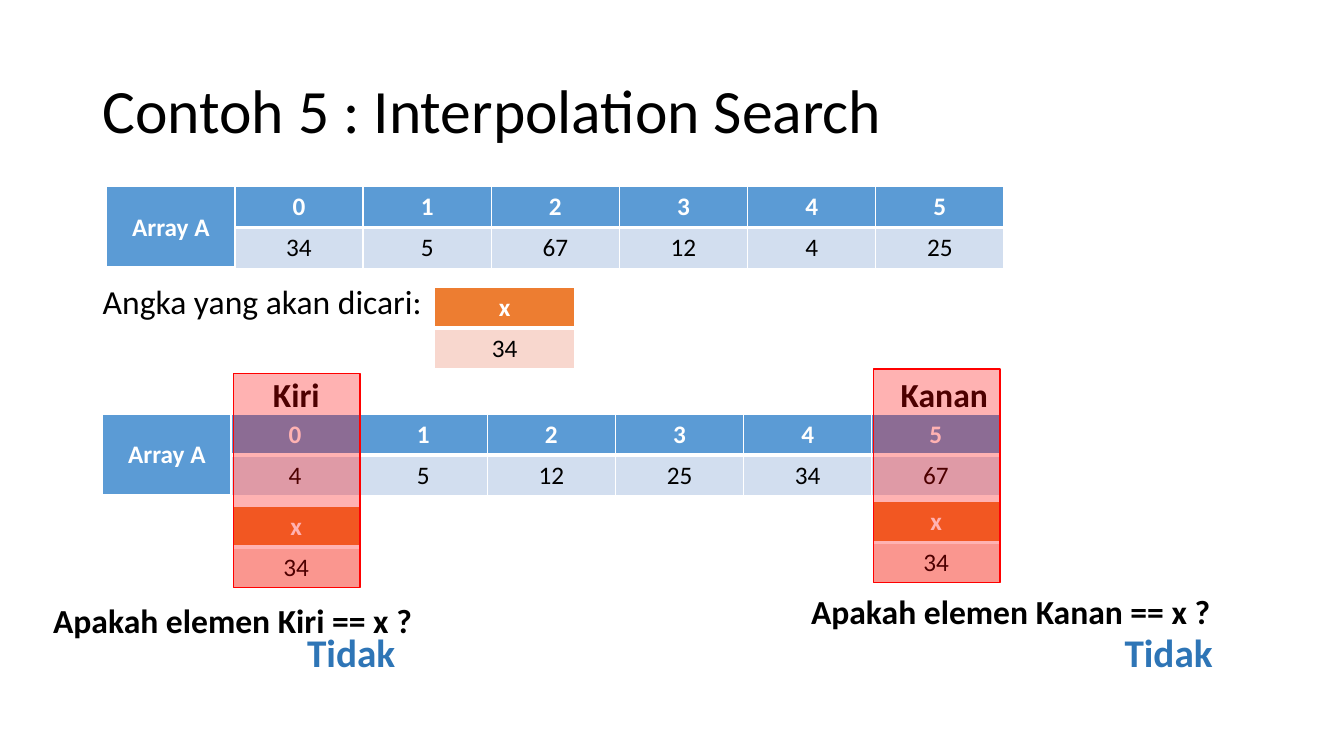
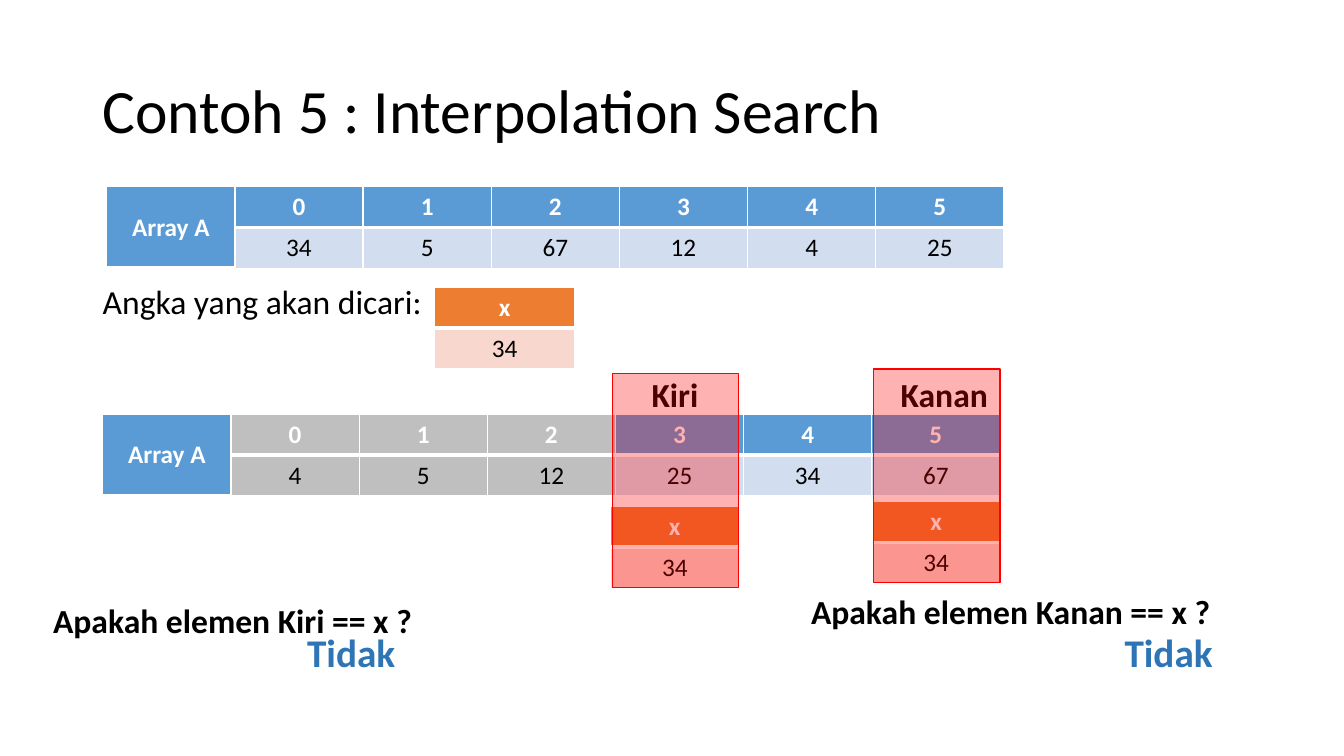
from dataclasses import dataclass
from lxml.etree import SubElement
from pptx import Presentation
from pptx.dml.color import RGBColor as RGB
from pptx.enum.shapes import MSO_SHAPE as Shape
from pptx.enum.text import MSO_ANCHOR as Anchor, MSO_AUTO_SIZE as Fit, PP_ALIGN as Align
from pptx.oxml.ns import qn
from pptx.util import Cm, Pt


@dataclass(frozen=True)
class Theme:
    font: str = "Calibri"
    title: int = 44
    answer: int = 28
    label: int = 24
    cell: int = 18
    black: str = "000000"
    white: str = "FFFFFF"
    blue: str = "5B9BD5"
    light_blue: str = "D2DEEF"
    orange: str = "ED7D31"
    light_orange: str = "F8D7CE"
    grey: str = "BFBFBF"
    red: str = "FF0000"
    answer_blue: str = "2E75B6"
    marker_alpha: int = 30


def apply(obj, values):
    for name, value in values.items():
        setattr(obj, name, value)


class Deck:
    ROW = 1.03
    COLUMN = 3.23
    MARKER = 3.18

    def __init__(self, theme):
        self.theme = theme
        self.prs = Presentation()
        apply(self.prs, {"slide_width": Cm(33.87), "slide_height": Cm(19.05)})
        self.s = None

    def add_slide(self, title):
        self.s = self.prs.slides.add_slide(self.prs.slide_layouts[6])
        tf = self.s.shapes.add_textbox(Cm(2.33), Cm(1.02), Cm(29.21), Cm(3.68)).text_frame
        apply(tf, {"word_wrap": True, "vertical_anchor": Anchor.MIDDLE})
        tf.paragraphs[0].line_spacing = 0.9
        self.run(tf, title, self.theme.title)

    def run(self, tf, text, size, color=None, bold=False):
        r = tf.paragraphs[0].add_run()
        r.text = text
        apply(r.font, {"name": self.theme.font, "size": Pt(size), "bold": bold})
        r.font.color.rgb = RGB.from_string(color or self.theme.black)

    def text(self, x, y, w, text, size=None, color=None, bold=True, h=1.27):
        tf = self.s.shapes.add_textbox(Cm(x), Cm(y), Cm(w), Cm(h)).text_frame
        apply(tf, {"word_wrap": False, "auto_size": Fit.SHAPE_TO_FIT_TEXT})
        self.run(tf, text, size or self.theme.label, color, bold)

    def answer(self, x, text):
        self.text(x, 15.72, 2.77, text, self.theme.answer, self.theme.answer_blue, h=1.45)

    def cell(self, cell, text, fill, header):
        t = self.theme
        tc_pr = cell._tc.get_or_add_tcPr()
        divider = "B" if header else "T"
        for side in "LRTB":
            ln = SubElement(tc_pr, qn(f"a:ln{side}"), w=str(Pt(3 if side == divider else 1)))
            SubElement(SubElement(ln, qn("a:solidFill")), qn("a:srgbClr"), val=t.white)
        cell.fill.solid()
        cell.fill.fore_color.rgb = RGB.from_string(fill)
        cell.vertical_anchor = Anchor.MIDDLE
        cell.text_frame.paragraphs[0].alignment = Align.CENTER
        if text:
            self.run(cell.text_frame, text, t.cell, t.white if header else t.black, header)

    def table(self, x, y, columns, rows):
        frame = self.s.shapes.add_table(2, columns, Cm(x), Cm(y), Cm(self.COLUMN * columns), Cm(2 * self.ROW))
        table = frame.table
        apply(table, {"first_row": False, "horz_banding": False})
        for row, values in zip(table.rows, rows):
            row.height = Cm(self.ROW)
            for cell, value in zip(row.cells, values):
                self.cell(cell, *value)
        return table

    def array(self, x, y, values, discarded=0):
        t = self.theme
        header, body = [("Array A", t.blue, True)], [("", t.blue, True)]
        for i, value in enumerate(values):
            out = i < discarded
            header.append((str(i), t.grey if out else t.blue, True))
            body.append((str(value), t.grey if out else t.light_blue, False))
        table = self.table(x, y, len(header), (header, body))
        table.cell(0, 0).merge(table.cell(1, 0))

    def target(self, x, y, value, width=COLUMN):
        t = self.theme
        rows = [("x", t.orange, True)], [(str(value), t.light_orange, False)]
        self.table(x, y, 1, rows).columns[0].width = Cm(width)

    def marker(self, x, y):
        sp = self.s.shapes.add_shape(Shape.RECTANGLE, Cm(x), Cm(y), Cm(self.MARKER), Cm(5.38))
        sp.shadow.inherit = False
        red = RGB.from_string(self.theme.red)
        sp.fill.solid()
        sp.fill.fore_color.rgb = red
        color = sp._element.spPr.find(qn("a:solidFill"))[0]
        SubElement(color, qn("a:alpha"), val=str(self.theme.marker_alpha * 1000))
        sp.line.color.rgb = red
        sp.line.width = Pt(1)

    def search_step(self, left):
        values, x = (34, 5, 67, 12, 4, 25), 34
        shift = left * self.MARKER
        self.add_slide("Contoh 5 : Interpolation Search")
        self.array(2.69, 4.7, values)
        self.target(10.95, 7.24, x, 3.53)
        self.text(2.34, 6.96, 8.61, "Angka yang akan dicari:", bold=False)
        self.array(2.59, 10.44, sorted(values), left)
        self.text(6.63 + shift, 9.3, 1.7, "Kiri")
        self.text(22.45, 9.3, 2.74, "Kanan")
        for marker_x, marker_y in ((22.02, 9.3), (5.89 + shift, 9.42)):
            self.target(marker_x - 0.04, marker_y + 3.34, x)
            self.marker(marker_x, marker_y)
        self.text(1.09, 14.99, 9.65, "Apakah elemen Kiri == x ?")
        self.text(20.19, 14.76, 10.67, "Apakah elemen Kanan == x ?")
        for answer_x in (7.49, 28.09):
            self.answer(answer_x, "Tidak")


def main():
    deck = Deck(Theme())
    for left in (0, 3):
        deck.search_step(left)
    deck.prs.save("out.pptx")


if __name__ == "__main__":
    main()
